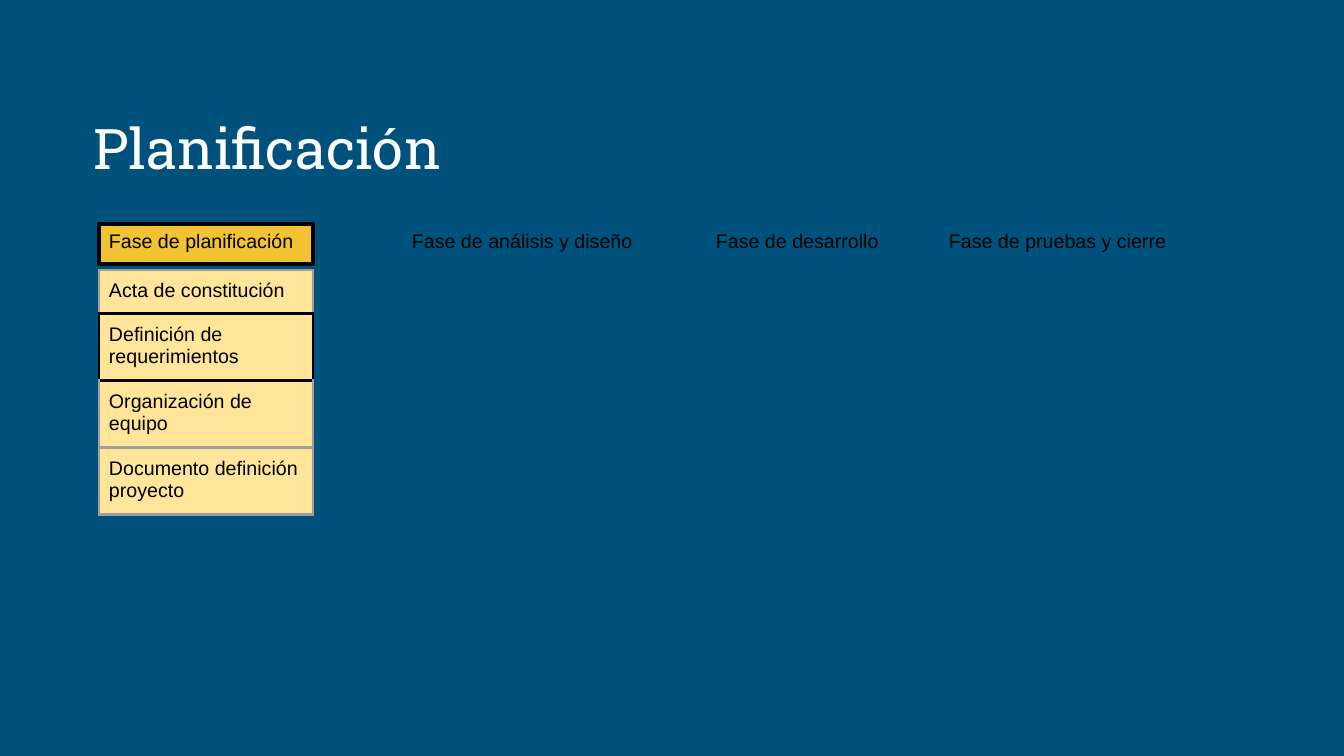
from dataclasses import dataclass
from typing import Optional

import pptx
import pptx.dml.color
import pptx.enum.shapes
import pptx.enum.text
import pptx.oxml
import pptx.oxml.ns
import pptx.util

EMU_PER_PX = 914400 / 100.8
SLIDE_WIDTH, SLIDE_HEIGHT = 1344, 756


@dataclass(frozen=True)
class Theme:
    background: str = "00517C"
    title: str = "FFFFFF"
    text: str = "000000"
    active_phase: str = "F1C232"
    task: str = "FFE599"
    grey_border: str = "9E9E9E"
    black_border: str = "000000"
    title_font: str = "Roboto Slab"
    text_font: str = "Arial"
    title_size: float = 40
    text_size: float = 14
    phase_line: float = 3
    task_line: float = 2.25


@dataclass(frozen=True)
class Phase:
    name: str
    left: int
    width: int
    active: bool = False


@dataclass(frozen=True)
class Task:
    name: str
    height: int
    sides: str
    top: str
    bottom: str


THEME = Theme()
GREY, BLACK = THEME.grey_border, THEME.black_border
PHASE_TOP, PHASE_HEIGHT = 224, 40
TASKS_LEFT, TASKS_TOP, TASKS_WIDTH = 99, 270, 214
CELL_MARGIN = 10

PHASES = [
    Phase("Fase de planificación", TASKS_LEFT, TASKS_WIDTH, active=True),
    Phase("Fase de análisis y diseño", 402, 303),
    Phase("Fase de desarrollo", 706, 303),
    Phase("Fase de pruebas y cierre", 939, 303),
]
TASKS = [
    Task("Acta de constitución", 42, GREY, GREY, BLACK),
    Task("Definición de requerimientos", 64, BLACK, BLACK, BLACK),
    Task("Organización de equipo", 64, GREY, BLACK, GREY),
    Task("Documento definición proyecto", 64, GREY, GREY, GREY),
]


def px(length: int) -> pptx.util.Emu:
    return pptx.util.Emu(round(length * EMU_PER_PX))


def rgb(color: str) -> pptx.dml.color.RGBColor:
    return pptx.dml.color.RGBColor.from_string(color)


def write(frame, text: str, font_name: str = THEME.text_font,
          size: float = THEME.text_size, color: str = THEME.text,
          line_spacing: Optional[float] = None) -> None:
    """Fill a text frame with one left-aligned paragraph."""
    frame.text = text
    frame.word_wrap = True
    paragraph = frame.paragraphs[0]
    paragraph.alignment = pptx.enum.text.PP_ALIGN.LEFT
    paragraph.line_spacing = line_spacing
    paragraph.font.name = font_name
    paragraph.font.size = pptx.util.Pt(size)
    paragraph.font.color.rgb = rgb(color)


def add_title(slide, text: str) -> None:
    title = slide.shapes.title
    title.left, title.top = px(83), px(78)
    title.width, title.height = px(1159), px(146)
    frame = title.text_frame
    write(frame, text, THEME.title_font, THEME.title_size, THEME.title, 0.9)
    frame.auto_size = pptx.enum.text.MSO_AUTO_SIZE.NONE
    frame.vertical_anchor = pptx.enum.text.MSO_ANCHOR.MIDDLE


def add_phase(slide, phase: Phase) -> None:
    box = (px(phase.left), px(PHASE_TOP), px(phase.width), px(PHASE_HEIGHT))
    if phase.active:
        shape = slide.shapes.add_shape(
            pptx.enum.shapes.MSO_SHAPE.RECTANGLE, *box)
        shape.shadow.inherit = False
        shape.fill.solid()
        shape.fill.fore_color.rgb = rgb(THEME.active_phase)
        shape.line.color.rgb = rgb(BLACK)
        shape.line.width = pptx.util.Pt(THEME.phase_line)
    else:
        shape = slide.shapes.add_textbox(*box)
    write(shape.text_frame, phase.name)
    shape.text_frame.vertical_anchor = pptx.enum.text.MSO_ANCHOR.TOP


def add_borders(cell, task: Task) -> None:
    """Add the cell's borders; must run before the cell is filled."""
    properties = cell._tc.get_or_add_tcPr()
    width = pptx.util.Pt(THEME.task_line)
    borders = {"lnL": task.sides, "lnR": task.sides,
               "lnT": task.top, "lnB": task.bottom}
    for tag, color in borders.items():
        properties.append(pptx.oxml.parse_xml(
            f'<a:{tag} {pptx.oxml.ns.nsdecls("a")} w="{width}">'
            f'<a:solidFill><a:srgbClr val="{color}"/></a:solidFill>'
            f'</a:{tag}>'))


def add_tasks(slide, tasks: list[Task]) -> None:
    table = slide.shapes.add_table(
        len(tasks), 1, px(TASKS_LEFT), px(TASKS_TOP), px(TASKS_WIDTH),
        px(sum(task.height for task in tasks))).table
    table.first_row = False
    table.horz_banding = False
    for row, task in zip(table.rows, tasks):
        row.height = px(task.height)
        cell = row.cells[0]
        cell.margin_left = cell.margin_right = px(CELL_MARGIN)
        cell.margin_top = cell.margin_bottom = px(CELL_MARGIN)
        write(cell.text_frame, task.name)
        add_borders(cell, task)
        cell.fill.solid()
        cell.fill.fore_color.rgb = rgb(THEME.task)


def main() -> None:
    presentation = pptx.Presentation()
    presentation.slide_width = px(SLIDE_WIDTH)
    presentation.slide_height = px(SLIDE_HEIGHT)
    title_only = presentation.slide_layouts.get_by_name("Title Only")
    slide = presentation.slides.add_slide(title_only)
    slide.background.fill.solid()
    slide.background.fill.fore_color.rgb = rgb(THEME.background)
    add_title(slide, "Planificación")
    for phase in PHASES:
        add_phase(slide, phase)
    add_tasks(slide, TASKS)
    presentation.save("out.pptx")


if __name__ == "__main__":
    main()
